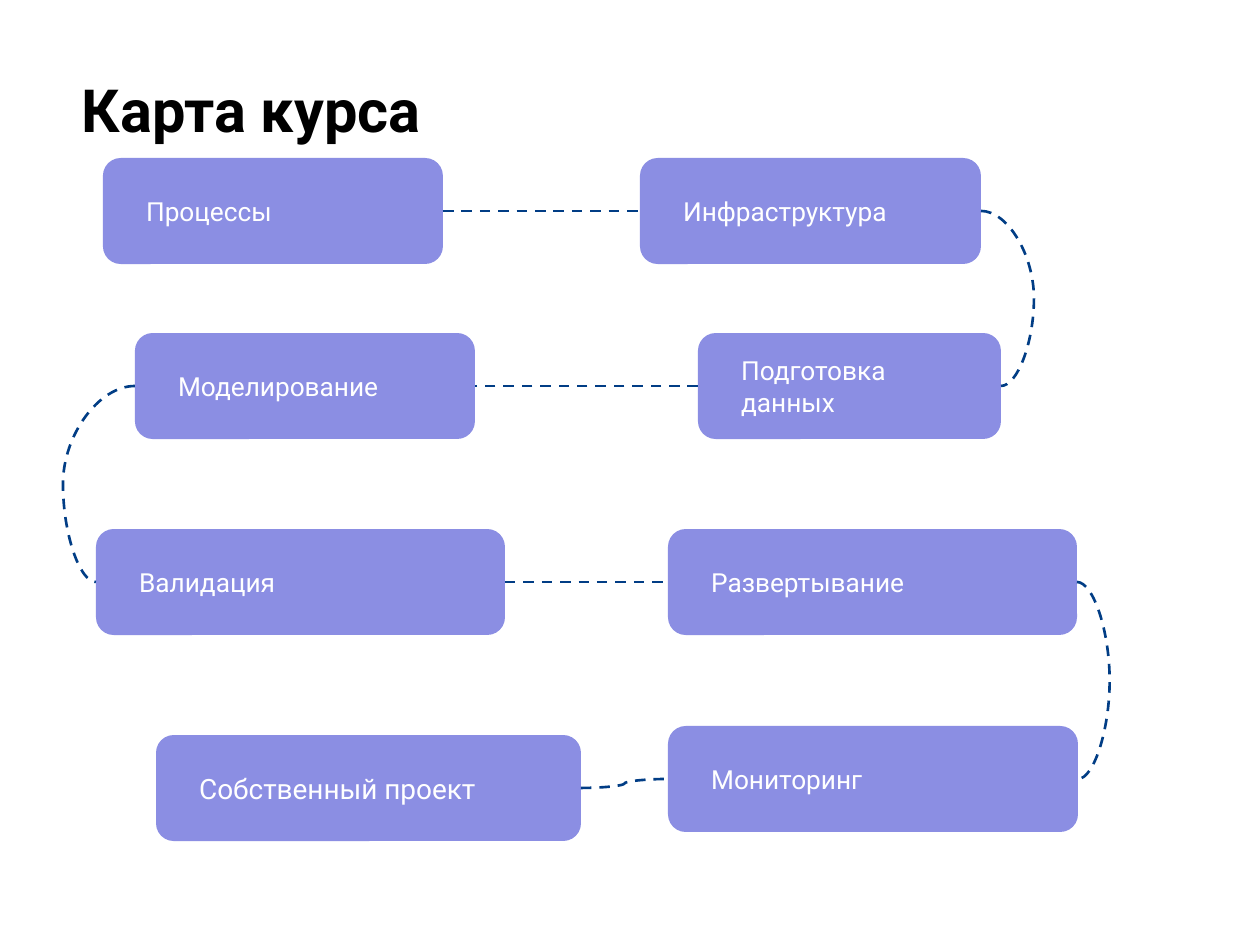
"""Build the course map slide: eight topic boxes joined by a winding dashed trail."""
import pptx
import pptx.dml.color
import pptx.enum.dml
import pptx.enum.shapes
import pptx.enum.text
import pptx.oxml.ns
import pptx.util
from lxml import etree

PX = 914400 / 126
LEFT, RIGHT = 1, 3


def paint(color, code):
    color.rgb = pptx.dml.color.RGBColor.from_string(code)


def write(shape, text, size, code, pads, bold=False):
    frame = shape.text_frame
    frame.word_wrap = True
    frame.margin_left = frame.margin_right = round(pads[0] * PX)
    frame.margin_top = frame.margin_bottom = round(pads[1] * PX)
    para = frame.paragraphs[0]
    para.alignment = pptx.enum.text.PP_ALIGN.LEFT
    run = para.add_run()
    run.text = text
    run.font.name = "Roboto"
    run.font.size = pptx.util.Pt(size)
    run.font.bold = bold
    paint(run.font.color, code)
    return frame


deck = pptx.Presentation()
deck.slide_width = round(1260 * PX)
deck.slide_height = round(945 * PX)
slide = deck.slides.add_slide(deck.slide_layouts[6])
shapes = slide.shapes

title = shapes.add_textbox(*[round(n * PX) for n in (69, 60, 1174, 180)])
write(title, "Карта курса", 34, "000000", (13, 13), True)

topics = [
    ("Процессы", 103, 158, 340, 15),
    ("Инфраструктура", 640, 158, 341, 15),
    ("Подготовка данных", 698, 333, 303, 15),
    ("Моделирование", 135, 333, 340, 15),
    ("Валидация", 96, 529, 409, 15),
    ("Развертывание", 668, 529, 409, 15),
    ("Мониторинг", 668, 726, 410, 15),
    ("Собственный проект", 156, 735, 425, 16),
]
boxes = []
for text, x, y, wide, size in topics:
    box = shapes.add_shape(
        pptx.enum.shapes.MSO_SHAPE.ROUNDED_RECTANGLE,
        *[round(n * PX) for n in (x, y, wide, 106)])
    box.shadow.inherit = False
    box.fill.solid()
    paint(box.fill.fore_color, "8B8EE3")
    box.line.fill.background()
    frame = write(box, text, size, "FFFFFF", (38, 13))
    frame.vertical_anchor = pptx.enum.text.MSO_ANCHOR.MIDDLE
    boxes.append(box)

links = [
    (0, RIGHT, 1, LEFT, None),
    (1, RIGHT, 2, RIGHT, 1034),
    (2, LEFT, 3, RIGHT, None),
    (3, LEFT, 4, LEFT, 63),
    (4, RIGHT, 5, LEFT, None),
    (5, RIGHT, 6, RIGHT, 1110),
    (7, RIGHT, 6, LEFT, None),
]
for start, out, stop, into, bend in links:
    link = shapes.add_connector(pptx.enum.shapes.MSO_CONNECTOR.CURVE, 0, 0, 0, 0)
    link.begin_connect(boxes[start], out)
    link.end_connect(boxes[stop], into)
    paint(link.line.color, "013D85")
    link.line.width = pptx.util.Pt(1.5)
    link.line.dash_style = pptx.enum.dml.MSO_LINE.DASH
    props = link._element.spPr
    etree.SubElement(props, pptx.oxml.ns.qn("a:effectLst"))
    if bend:
        ratio = (bend * PX - link.begin_x) / (link.end_x - link.begin_x)
        guides = props.find(".//" + pptx.oxml.ns.qn("a:avLst"))
        etree.SubElement(guides, pptx.oxml.ns.qn("a:gd"), name="adj1",
                         fmla=f"val {round(ratio * 100000)}")

deck.save("out.pptx")
